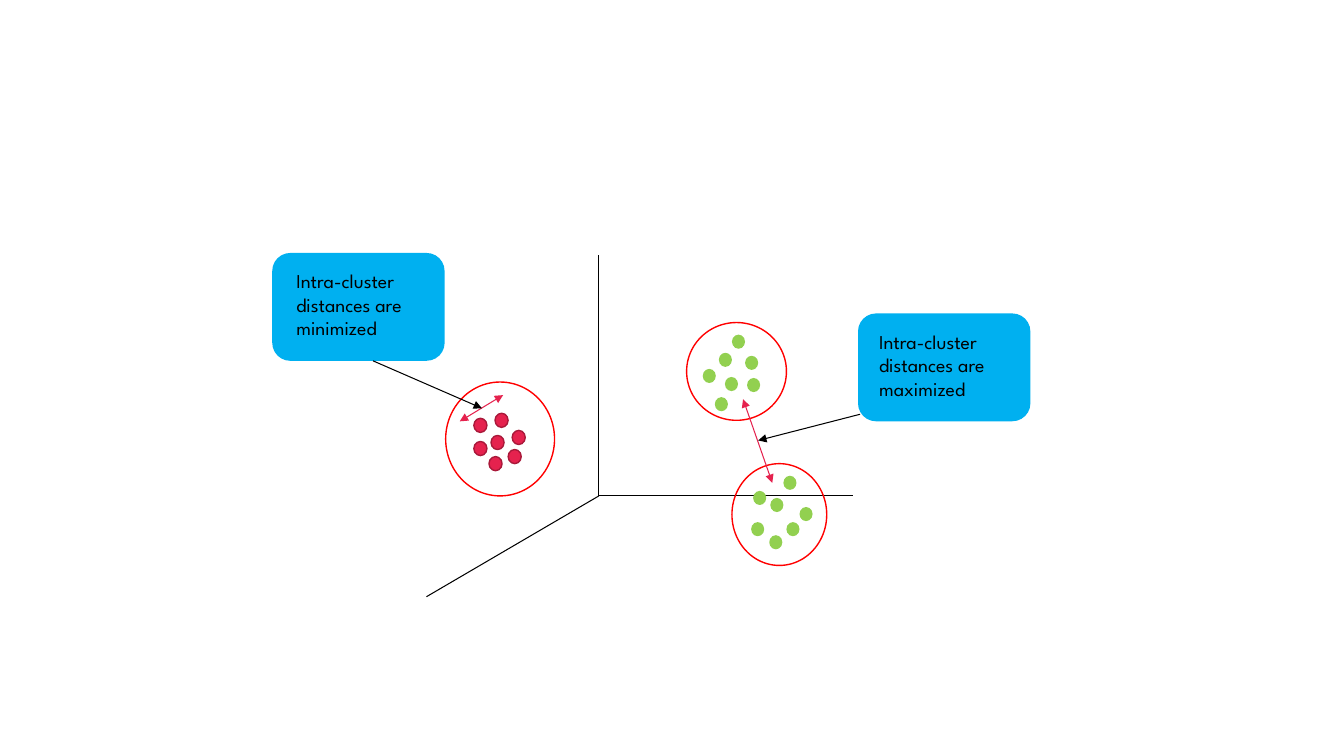
from pptx import Presentation
from pptx import util as u
from pptx.dml.color import RGBColor
from pptx.enum import shapes, text
from pptx.oxml.ns import qn
from lxml import etree

PX = 9144  # EMU per px, 100 px to the inch
FONT = "League Spartan"
INK = {"box": "00B0F0", "red": "E5224E", "edge": "A9193A", "green": "92D050",
       "ring": "FF0000", "black": "000000"}
DOT = (13, 14)

# ring (left, top, width, height), fill, edge, left and top of each dot
GROUPS = [
    ((442, 379, 108, 113), "red", "edge",
     [(470, 415), (487, 432), (485, 453), (491, 410), (470, 438), (508, 427), (504, 446)]),
    ((681, 320, 99, 97), "green", None,
     [(713, 350), (697, 366), (719, 374), (726, 332), (709, 394), (739, 353), (741, 375)]),
    ((726, 460, 94, 101), "green", None,
     [(747, 487), (764, 494), (763, 531), (777, 472), (745, 518), (793, 503), (780, 518)]),
]
ORIGIN = (594, 492)
AXES = [(594, 253), (423, 592), (846, 492)]
SPANS = [((737, 396), (766, 479)), ((456, 418), (499, 392))]
# left, top, text indent, wording, pointer start and end
NOTES = [
    (270, 251, 14, "Intra-cluster distances are minimized", (370, 358), (478, 405)),
    (851, 311, 11, "Intra-cluster distances are maximized", (853, 411), (752, 437)),
]


def px(*vals):
    return [u.Emu(v * PX) for v in vals]


def rgb(name):
    return RGBColor.from_string(INK[name])


def add_form(slide, kind, rect, fill=None, edge=None):
    form = slide.shapes.add_shape(kind, *px(*rect))
    form.shadow.inherit = False
    if fill:
        form.fill.solid()
        form.fill.fore_color.rgb = rgb(fill)
    else:
        form.fill.background()
    if edge:
        form.line.color.rgb = rgb(edge)
        form.line.width = u.Pt(1)
    else:
        form.line.fill.background()


def add_line(slide, start, end, ink="black", heads=()):
    """Draw a line; heads may hold headEnd (at start) and tailEnd (at end)."""
    line = slide.shapes.add_connector(shapes.MSO_CONNECTOR.STRAIGHT, *px(*start, *end))
    line.line.color.rgb = rgb(ink)
    line.line.width = u.Pt(0.75)
    for head in heads:
        etree.SubElement(line.line._get_or_add_ln(), qn("a:" + head), type="triangle")
    etree.SubElement(line._element.spPr, qn("a:effectLst"))


def add_group(slide, ring, fill, edge, dots):
    oval = shapes.MSO_SHAPE.OVAL
    for spot in dots:
        add_form(slide, oval, spot + DOT, fill, edge)
    add_form(slide, oval, ring, edge="ring")


def add_note(slide, left, top, indent, words, start, end):
    add_form(slide, shapes.MSO_SHAPE.ROUNDED_RECTANGLE, (left, top, 171, 107), "box")
    frame = slide.shapes.add_textbox(*px(left + indent, top + 11, 148, 81)).text_frame
    frame.word_wrap = True
    frame.auto_size = text.MSO_AUTO_SIZE.SHAPE_TO_FIT_TEXT
    run = frame.paragraphs[0].add_run()
    run.text = words
    run.font.name = FONT
    run.font.size = u.Pt(14)
    run.font.color.rgb = rgb("black")
    add_line(slide, start, end, heads=["tailEnd"])


def main():
    deck = Presentation()
    deck.slide_width, deck.slide_height = px(1333, 750)
    slide = deck.slides.add_slide(deck.slide_layouts[6])
    for tip in AXES:
        add_line(slide, ORIGIN, tip)
    for group in GROUPS:
        add_group(slide, *group)
    for start, end in SPANS:
        add_line(slide, start, end, "red", ["headEnd", "tailEnd"])
    for note in NOTES:
        add_note(slide, *note)
    deck.save("out.pptx")


if __name__ == "__main__":
    main()
